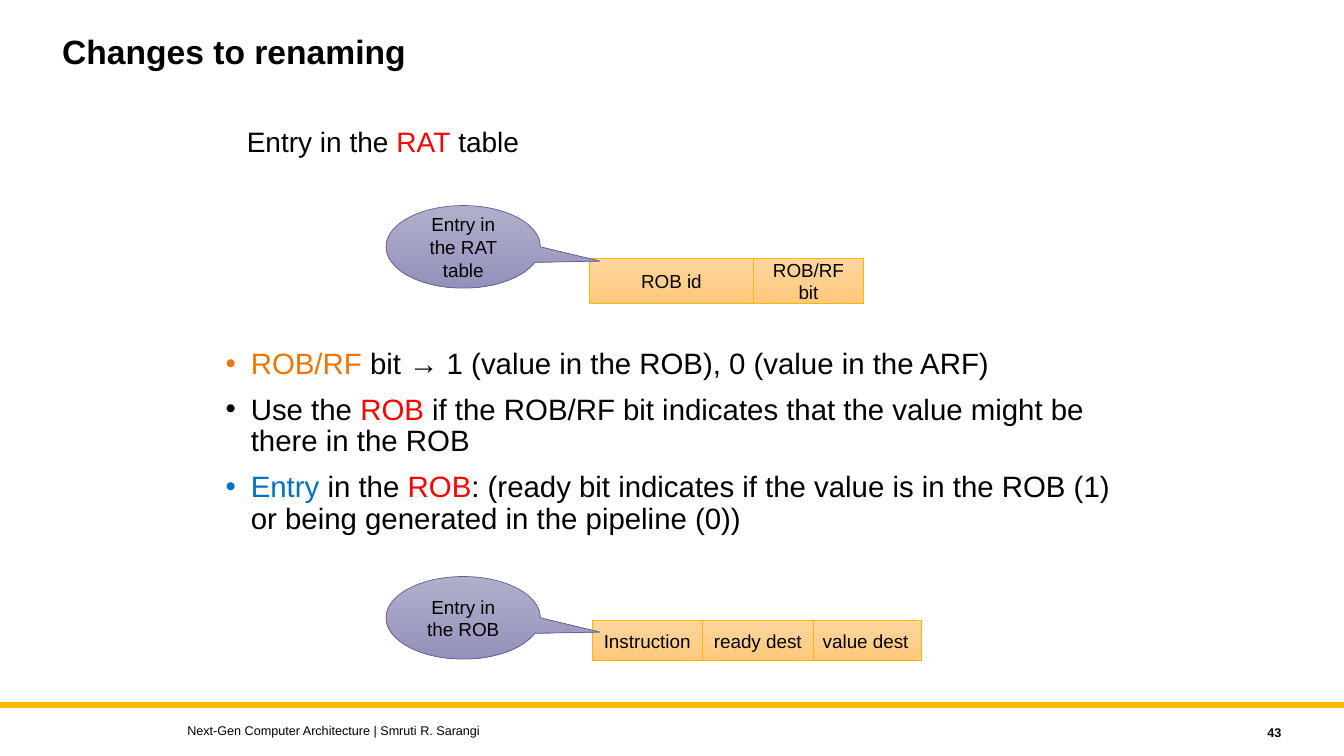
"""Build the slide on changes to renaming."""
from lxml import etree
from pptx import Presentation
from pptx.dml.color import RGBColor
from pptx.enum.shapes import MSO_SHAPE as SHAPE
from pptx.enum.text import MSO_ANCHOR as ANCHOR, PP_ALIGN as ALIGN
from pptx.oxml.ns import qn
from pptx.util import Pt

BLACK = RGBColor(0x00, 0x00, 0x00)
RED = RGBColor(0xFF, 0x00, 0x00)
ORANGE = RGBColor(0xEC, 0x77, 0x00)
BLUE = RGBColor(0x00, 0x70, 0xC0)
GOLD = RGBColor(0xFF, 0xB6, 0x00)
PEACH = (RGBColor(0xFF, 0xD6, 0x9E), RGBColor(0xFF, 0xC9, 0x7C))
PURPLE = RGBColor(0x62, 0x5D, 0x9C)
LILAC = (RGBColor(0xB0, 0xAF, 0xCA), RGBColor(0x94, 0x92, 0xBB))

BULLETS = [
    [("ROB/RF", ORANGE), (" bit → 1 (value in the ROB), 0 (value in the ARF)", BLACK)],
    [("Use the ", BLACK), ("ROB", RED),
     (" if the ROB/RF bit indicates that the value might be there in the ROB", BLACK)],
    [("Entry ", BLUE), ("in the ", BLACK), ("ROB", RED),
     (": (ready bit indicates if the value is in the ROB (1) "
      "or being generated in the pipeline (0))", BLACK)],
]


def add_runs(p, runs, size, bold=False):
    """Fill a paragraph with coloured runs."""
    for text, color in runs:
        r = p.add_run()
        r.text = text
        r.font.name = "Arial"
        r.font.size = Pt(size)
        r.font.bold = bold
        r.font.color.rgb = color


def add_text(s, box, runs, size, bold=False, align=ALIGN.LEFT, anchor=ANCHOR.TOP):
    """Add a text box with one paragraph and return that paragraph."""
    tf = s.shapes.add_textbox(*map(Pt, box)).text_frame
    tf.word_wrap = True
    tf.vertical_anchor = anchor
    p = tf.paragraphs[0]
    p.alignment = align
    add_runs(p, runs, size, bold)
    return p


def add_bullets(s, box, items):
    """Add the bulleted text box."""
    tf = s.shapes.add_textbox(*map(Pt, box)).text_frame
    tf.word_wrap = True
    tf.margin_left = tf.margin_right = Pt(5)
    tf.margin_top = tf.margin_bottom = Pt(3)
    for i, runs in enumerate(items):
        p = tf.add_paragraph() if i else tf.paragraphs[0]
        p.line_spacing = 0.9
        p.space_before = Pt(10 if i else 0)
        pPr = p._p.get_or_add_pPr()
        pPr.set("marL", str(Pt(18)))
        pPr.set("indent", str(-Pt(18)))
        etree.SubElement(pPr, qn("a:buFont")).set("typeface", "Arial")
        etree.SubElement(pPr, qn("a:buChar")).set("char", "•")
        add_runs(p, runs, 21)


def add_node(s, kind, box, text, colors, edge):
    """Add a gradient shape with a centred label and return it."""
    sp = s.shapes.add_shape(kind, *map(Pt, box))
    sp.shadow.inherit = False
    sp.fill.gradient()
    sp.fill.gradient_angle = 270
    for stop, color in zip(sp.fill.gradient_stops, colors):
        stop.color.rgb = color
    sp.line.color.rgb = edge
    sp.line.width = Pt(0.5)
    tf = sp.text_frame
    tf.word_wrap = True
    tf.vertical_anchor = ANCHOR.MIDDLE
    p = tf.paragraphs[0]
    p.alignment = ALIGN.CENTER
    add_runs(p, [(text, BLACK)], 13.5)
    return sp


def add_cells(s, top, height, cells):
    """Add the fields of one table entry."""
    for left, width, text in cells:
        add_node(s, SHAPE.RECTANGLE, (left, top, width, height), text, PEACH, GOLD)


def add_callout(s, top, text):
    """Add an oval callout pointing at an entry."""
    sp = add_node(s, SHAPE.OVAL_CALLOUT, (275.8, top, 110.2, 59), text, LILAC, PURPLE)
    sp.adjustments[0] = 0.885
    sp.adjustments[1] = 0.173


def add_band(s):
    """Add the gold band above the footer."""
    sp = s.shapes.add_shape(SHAPE.RECTANGLE, 0, Pt(501.3), Pt(960), Pt(4.3))
    sp.shadow.inherit = False
    sp.fill.solid()
    sp.fill.fore_color.rgb = GOLD
    sp.line.fill.background()


def main():
    """Build and save the slide."""
    prs = Presentation()
    prs.slide_width, prs.slide_height = Pt(960), Pt(540)
    s = prs.slides.add_slide(prs.slide_layouts[6])
    add_band(s)
    title = add_text(s, (37.4, 21.6, 720, 64.8), [("Changes to renaming", BLACK)], 24, bold=True)
    title.line_spacing = 0.9
    add_text(s, (169.2, 85.7, 620.6, 28.8),
             [("Entry in the ", BLACK), ("RAT", RED), (" table", BLACK)], 20)
    add_cells(s, 184.5, 32.5, [(421.2, 116.8, "ROB id"), (538, 79, "ROB/RF bit")])
    add_bullets(s, (156.2, 246.2, 655.2, 154.8), BULLETS)
    add_cells(s, 443.3, 28.7, [(422.8, 79, "Instruction"), (578.8, 79, "value dest"),
                               (501.8, 79, "ready dest")])
    add_callout(s, 146.8, "Entry in the RAT table")
    add_callout(s, 411.8, "Entry in the ROB")
    add_text(s, (821.5, 514.1, 100.8, 18), [("43", BLACK)], 9, bold=True,
             align=ALIGN.RIGHT, anchor=ANCHOR.MIDDLE)
    add_text(s, (126.7, 512.6, 576, 18),
             [("Next-Gen Computer Architecture | Smruti R. Sarangi", BLACK)], 9,
             anchor=ANCHOR.MIDDLE)
    prs.save("out.pptx")


if __name__ == "__main__":
    main()
